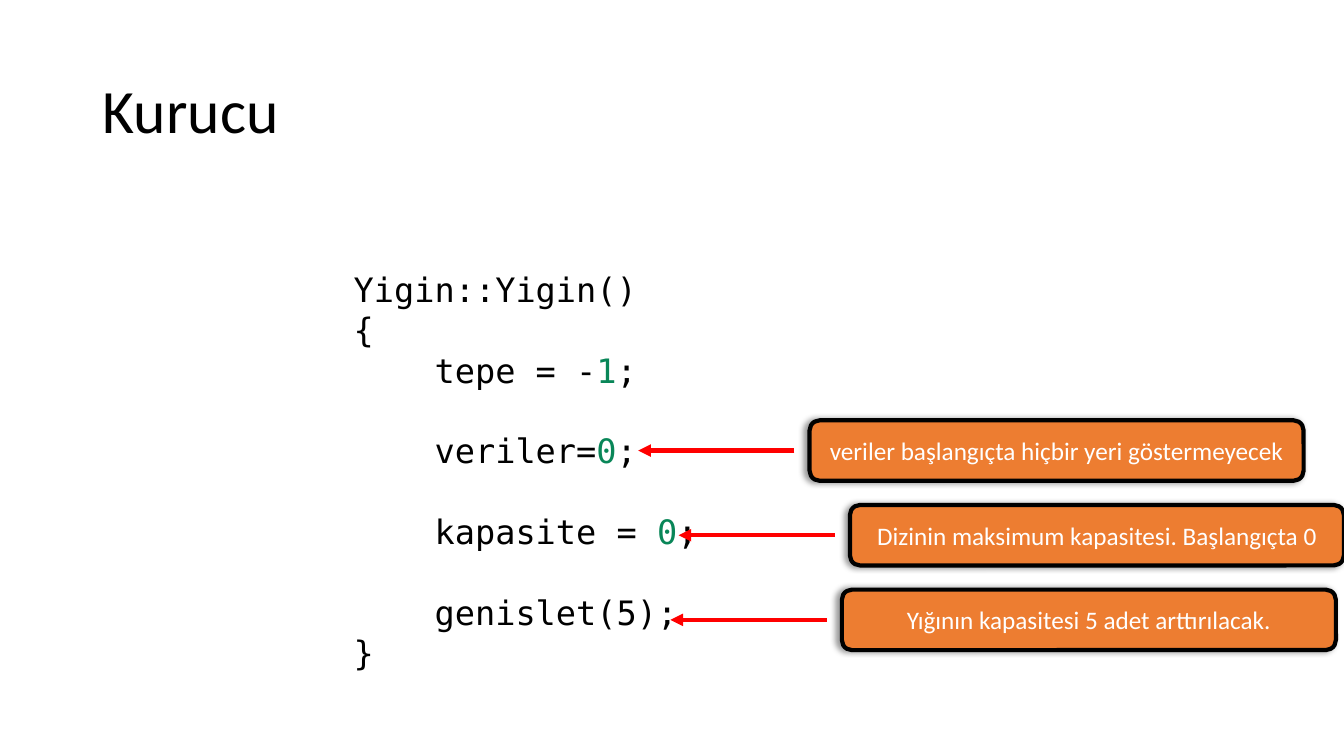
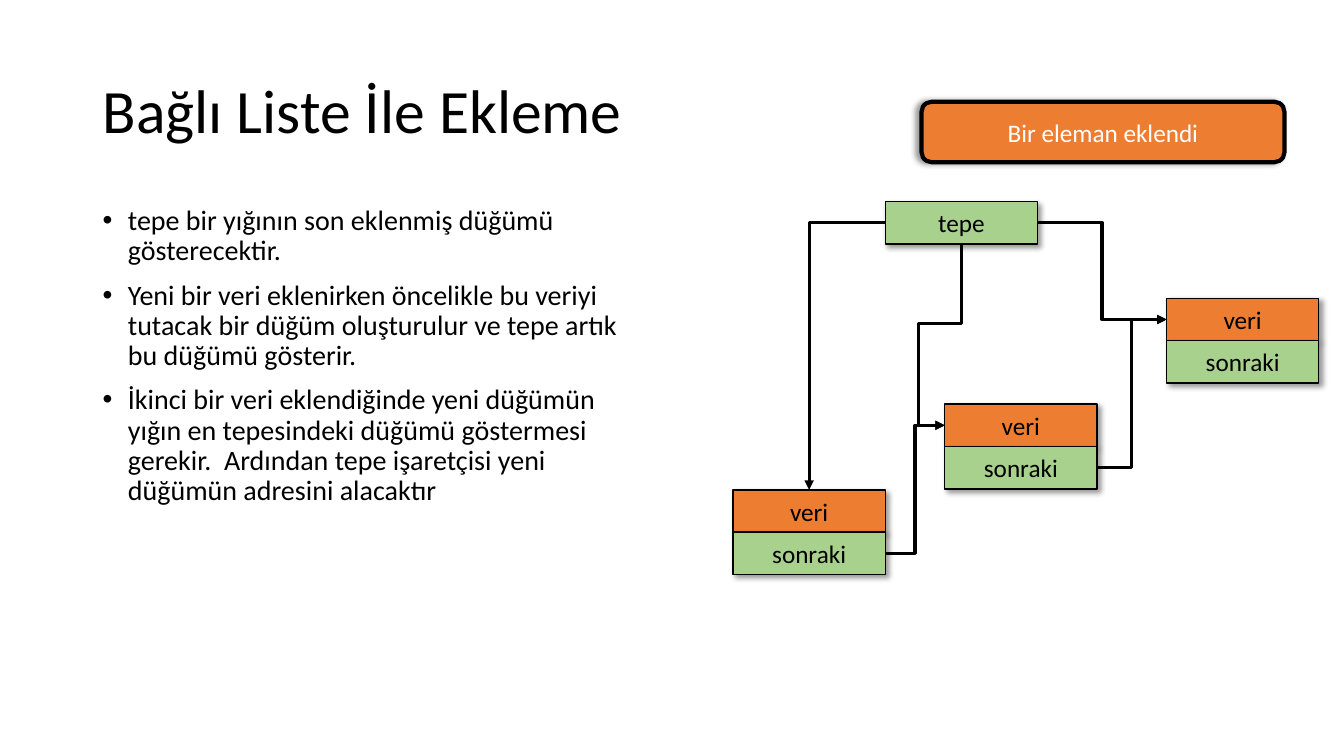
from lxml import etree
from pptx import Presentation
from pptx import util as u
from pptx.dml import color
from pptx.enum import shapes, text
from pptx.oxml import ns

C = {"black": "000000", "white": "FFFFFF", "orange": "ED7D31",
     "green": "A9D18E", "red": "FF0000", "number": "098658"}
MONO, SANS = "DejaVu Sans Mono", "Calibri"
TOP, LEFT, BOTTOM, RIGHT = range(4)
NODE_W, NODE_H = 1.51, 0.42
CALLOUT_H = 0.6


def rgb(name):
    return color.RGBColor.from_string(C[name])


def add_xml(parent, tag, **attrs):
    return etree.SubElement(parent, ns.qn(tag), attrs)


def apply(obj, **values):
    for name, value in values.items():
        setattr(obj, name, value)


def box(*lengths):
    return [u.Inches(v) for v in lengths]


def add_run(p, words, size, name="black", font=SANS):
    r = p.add_run()
    r.text = words
    apply(r.font, size=u.Pt(size), name=font)
    r.font.color.rgb = rgb(name)


def add_slide(prs, title):
    s = prs.slides.add_slide(prs.slide_layouts[5])
    t = s.shapes.title
    left, top, width, height = box(0.92, 0.4, 11.5, 1.45)
    apply(t, left=left, top=top, width=width, height=height)
    apply(t.text_frame, vertical_anchor=text.MSO_ANCHOR.MIDDLE, word_wrap=True)
    p = t.text_frame.paragraphs[0]
    apply(p, alignment=text.PP_ALIGN.LEFT, line_spacing=0.9)
    add_run(p, title, 44)
    return s


def add_text_frame(s, bounds):
    tf = s.shapes.add_textbox(*box(*bounds)).text_frame
    tf.word_wrap = True
    return tf


def next_paragraph(tf, i):
    return tf.add_paragraph() if i else tf.paragraphs[0]


def add_block(s, kind, bounds, words, fill, ink, line_width, shadow_angle):
    sp = s.shapes.add_shape(kind, *box(*bounds))
    sp.fill.solid()
    sp.fill.fore_color.rgb = rgb(fill)
    sp.line.color.rgb = rgb("black")
    sp.line.width = u.Pt(line_width)
    sp.shadow.inherit = False
    effects = sp._element.spPr.find(ns.qn("a:effectLst"))
    shadow = add_xml(effects, "a:outerShdw", blurRad=str(u.Pt(4)), dist=str(u.Pt(3)),
                     dir=str(shadow_angle * 60000), algn="ctr", rotWithShape="0")
    tint = add_xml(shadow, "a:srgbClr", val=C["black"])
    add_xml(tint, "a:alpha", val="40000")
    tf = sp.text_frame
    apply(tf, vertical_anchor=text.MSO_ANCHOR.MIDDLE, word_wrap=True)
    p = tf.paragraphs[0]
    p.alignment = text.PP_ALIGN.CENTER
    add_run(p, words, 18, ink)
    return sp


def add_callout(s, left, top, width, words):
    return add_block(s, shapes.MSO_SHAPE.ROUNDED_RECTANGLE, (left, top, width, CALLOUT_H),
                     words, "orange", "white", 3, 180)


def add_cell(s, left, top, words, fill):
    return add_block(s, shapes.MSO_SHAPE.RECTANGLE, (left, top, NODE_W, NODE_H),
                     words, fill, "black", 1, 45)


def add_node(s, left, top):
    return (add_cell(s, left, top, "veri", "orange"),
            add_cell(s, left, top + NODE_H, "sonraki", "green"))


def add_arrow(s, kind, ends, name, width):
    cn = s.shapes.add_connector(kind, *box(*ends))
    cn.line.color.rgb = rgb(name)
    cn.line.width = u.Pt(width)
    add_xml(cn.line._get_or_add_ln(), "a:tailEnd", type="triangle")
    add_xml(cn._element.spPr, "a:effectLst")
    return cn


def add_link(s, source, source_side, target, target_side, preset="bentConnector3", bends=()):
    cn = add_arrow(s, shapes.MSO_CONNECTOR.ELBOW, (0, 0, 0, 0), "black", 2.25)
    cn.begin_connect(source, source_side)
    cn.end_connect(target, target_side)
    geom = cn._element.spPr.find(ns.qn("a:prstGeom"))
    geom.set("prst", preset)
    guides = geom.find(ns.qn("a:avLst"))
    for i, bend in enumerate(bends, 1):
        add_xml(guides, "a:gd", name=f"adj{i}", fmla=f"val {round(bend * 100000)}")
    return cn


def turn_quarter(cn):
    left, top, width, height = cn.left, cn.top, cn.width, cn.height
    shift = (width - height) // 2
    apply(cn, left=left + shift, top=top - shift, width=height, height=width)
    xfrm = cn._element.spPr.find(ns.qn("a:xfrm"))
    xfrm.attrib.pop("flipH", None)
    xfrm.set("rot", str(90 * 60000))


def add_code(s, bounds, lines):
    tf = add_text_frame(s, bounds)
    for i, (gap, parts) in enumerate(lines):
        p = next_paragraph(tf, i)
        p.line_spacing = u.Pt(28.8)
        if gap:
            p.space_before = u.Pt(28.8)
        for words in parts:
            add_run(p, words, 24, "number" if words.isdigit() else "black", MONO)


def add_bullets(s, bounds, items):
    tf = add_text_frame(s, bounds)
    for i, words in enumerate(items):
        p = next_paragraph(tf, i)
        p.line_spacing = 0.9
        if i:
            p.space_before = u.Pt(10)
        pPr = p._p.get_or_add_pPr()
        pPr.set("marL", str(u.Inches(0.25)))
        pPr.set("indent", str(u.Inches(-0.25)))
        add_xml(pPr, "a:buFont", typeface="Arial")
        add_xml(pPr, "a:buChar", char="•")
        add_run(p, words, 20)


def add_notes_column(s, top, pitch, notes):
    for i, (left, words) in enumerate(notes):
        y = top + i * pitch
        mid = y + CALLOUT_H / 2
        add_arrow(s, shapes.MSO_CONNECTOR.STRAIGHT,
                  (left - 0.15, mid, left - 1.7, mid), "red", 3)
        add_callout(s, left, y, 4.9, words)


def add_linked_list(s, left, top):
    head = add_cell(s, left + 1.51, top, "tepe", "green")
    first, first_next = add_node(s, left, top + 2.86)
    second, second_next = add_node(s, left + 2.1, top + 2.01)
    third, _ = add_node(s, left + 4.3, top + 0.96)
    add_link(s, head, RIGHT, third, LEFT)
    add_link(s, second_next, RIGHT, third, LEFT)
    add_link(s, first_next, RIGHT, second, LEFT)
    add_link(s, head, LEFT, first, TOP, "bentConnector2")
    turn_quarter(add_link(s, head, BOTTOM, second, LEFT, "bentConnector4", (0.44, 2.56)))


def constructor_slide(prs):
    s = add_slide(prs, "Kurucu")
    add_code(s, (3.41, 2.62, 6.67, 4.14), [
        (False, ["Yigin::Yigin()"]),
        (False, ["{"]),
        (False, ["    tepe = -", "1", ";"]),
        (True, ["    veriler=", "0", ";"]),
        (True, ["    kapasite = ", "0", ";"]),
        (True, ["    genislet(5);"]),
        (False, ["}"]),
    ])
    add_notes_column(s, 4.17, 0.84, [
        (8.03, "veriler başlangıçta hiçbir yeri göstermeyecek"),
        (8.43, "Dizinin maksimum kapasitesi. Başlangıçta 0"),
        (8.35, "Yığının kapasitesi 5 adet arttırılacak."),
    ])


def linked_list_slide(prs):
    s = add_slide(prs, "Bağlı Liste İle Ekleme")
    add_bullets(s, (0.92, 2, 5.59, 4.76), [
        "tepe bir yığının son eklenmiş düğümü gösterecektir.",
        "Yeni bir veri eklenirken öncelikle bu veriyi tutacak bir düğüm oluşturulur "
        "ve tepe artık bu düğümü gösterir.",
        "İkinci bir veri eklendiğinde yeni düğümün yığın en tepesindeki düğümü göstermesi "
        "gerekir.  Ardından tepe işaretçisi yeni düğümün adresini alacaktır",
    ])
    add_linked_list(s, 7.27, 2)
    add_callout(s, 9.14, 1.01, 3.6, "Bir eleman eklendi")


def main():
    prs = Presentation()
    apply(prs, slide_width=u.Inches(13.33), slide_height=u.Inches(7.5))
    constructor_slide(prs)
    linked_list_slide(prs)
    prs.save("out.pptx")


if __name__ == "__main__":
    main()
